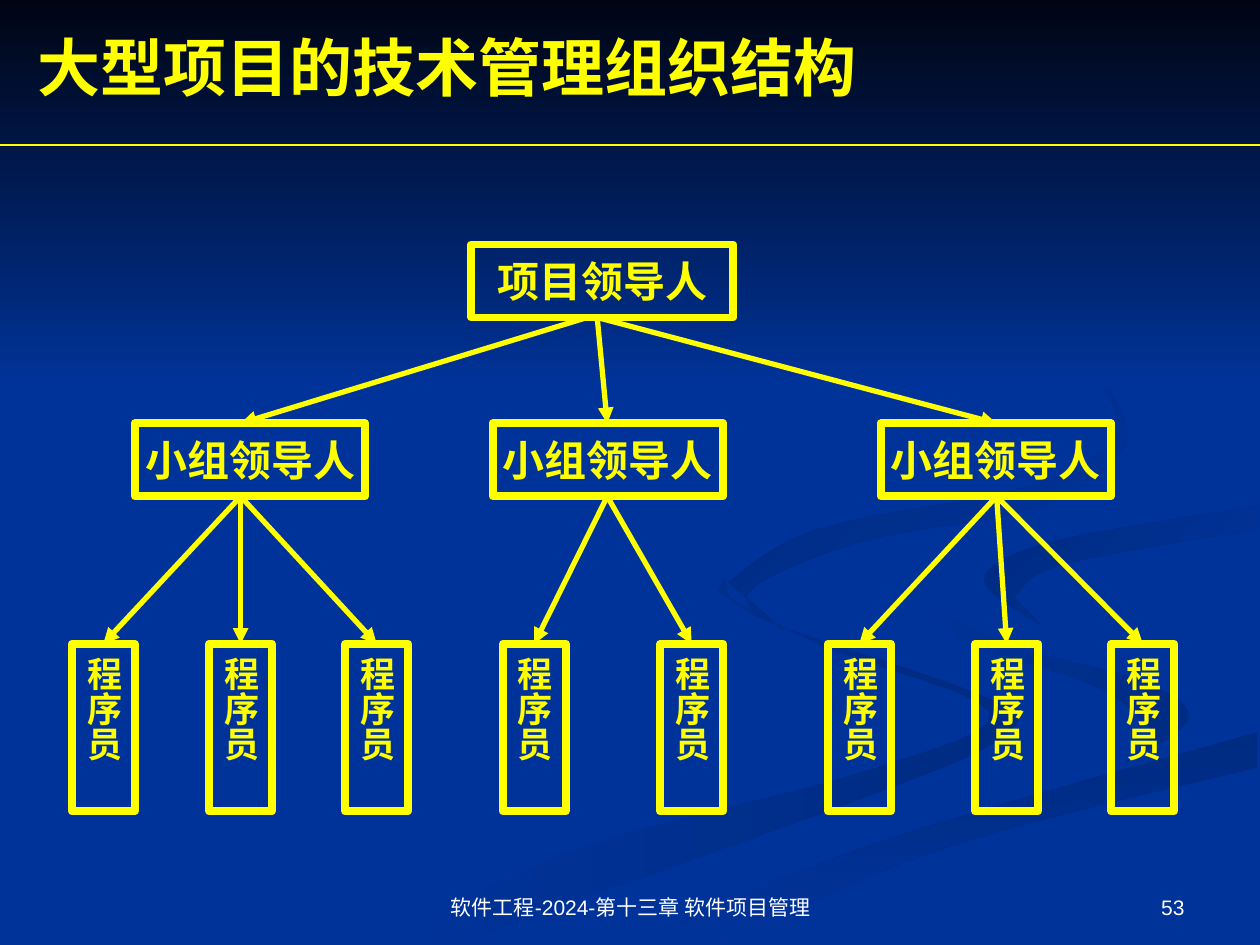
from dataclasses import dataclass
from typing import Optional

import lxml.etree
import pptx
import pptx.dml.color
import pptx.enum.shapes
import pptx.enum.text
import pptx.oxml.ns
import pptx.util

Inches = pptx.util.Inches
Align = pptx.enum.text.PP_ALIGN
Anchor = pptx.enum.text.MSO_ANCHOR
Point = tuple[float, float]


@dataclass(frozen=True)
class Theme:
    background: str = "003399"
    night: str = "000514"
    ribbon: str = "002B82"
    accent: str = "FFFF00"
    footer: str = "FFFFFF"
    heading_font: str = "Times New Roman"
    footer_font: str = "Arial"
    title_size: int = 36
    leader_size: int = 24
    programmer_size: int = 20
    footer_size: int = 12
    box_line: float = 4.5
    arrow_line: float = 3
    rule_line: float = 0.75


@dataclass(frozen=True)
class Ribbon:
    outer: tuple[Point, ...]
    inner: tuple[Point, ...]
    start: str
    end: str
    angle: int = 0


@dataclass(frozen=True)
class Box:
    left: float
    top: float
    width: float
    height: float


@dataclass(frozen=True)
class Team:
    left: float
    anchor: float
    manager_anchor: float
    programmers: tuple[float, ...]


THEME = Theme()
BLUE = THEME.background
SLIDE_WIDTH, SLIDE_HEIGHT, BAND_HEIGHT = 10, 7.5, 3.08
CURVE_STEPS = 6
LEADER_TOP, PROGRAMMER_TOP = 3.36, 5.11
LEADER_HEIGHT = 0.58
PROGRAMMER_WIDTH = 0.5
MANAGER = Box(3.74, 1.94, 2.08, LEADER_HEIGHT)
TEAMS = (
    Team(1.07, 1.91, 4.66, (0.57, 1.66, 2.74)),
    Team(3.91, 4.82, 4.74, (3.99, 5.24)),
    Team(6.99, 7.91, 4.74, (6.57, 7.74, 8.82)),
)

RIBBONS = (
    Ribbon(((5.75, 4.59), (6.02, 4.9), (7.81, 5.53), (8, 5.81), (6.99, 6.28), (3.61, 7.49)),
           ((3, 7.49), (4.58, 6.74), (6.84, 6.13), (7.86, 5.66), (6.54, 5.13), (5.7, 4.7)),
           BLUE, THEME.ribbon),
    Ribbon(((7.24, 4.64), (7.92, 5.09), (9.05, 5.4), (9.43, 5.7), (8.94, 6.05)),
           ((9.18, 5.81), (8.68, 5.44), (7.66, 5.12)), BLUE, THEME.ribbon, 45),
    Ribbon(((5.03, 7.49), (6.96, 6.69), (9.98, 5.81)),
           ((9.98, 6.09), (7.52, 6.72), (5.71, 7.49)), THEME.ribbon, BLUE, 90),
    Ribbon(((9.98, 4.02), (8.35, 4.3), (7.81, 4.6), (8.26, 4.96)),
           ((8.05, 4.74), (8.43, 4.48), (9.98, 4.2)), THEME.ribbon, BLUE, 45),
    Ribbon(((8.8, 3.07), (8.92, 3.54), (8.25, 4.02), (6.83, 4.3), (5.94, 4.7), (6.22, 5)),
           ((5.78, 4.62), (6.49, 4.2), (8.18, 3.86), (8.86, 3.48), (8.76, 3.07)),
           THEME.ribbon, BLUE, 45),
    Ribbon(((0, 0), (SLIDE_WIDTH, 0)), ((SLIDE_WIDTH, BAND_HEIGHT), (0, BAND_HEIGHT)),
           THEME.night, BLUE, 90),
)


def color(value: str) -> pptx.dml.color.RGBColor:
    return pptx.dml.color.RGBColor.from_string(value)


def smooth(points: tuple[Point, ...]) -> list[Point]:
    padded = (points[0], *points, points[-1])
    curve = []
    for a, b, c, d in zip(padded, padded[1:], padded[2:], padded[3:]):
        for step in range(CURVE_STEPS):
            t = step / CURVE_STEPS
            curve.append(tuple(
                q + t * (r - p + t * (2 * p - 5 * q + 4 * r - s + t * (3 * (q - r) + s - p))) / 2
                for p, q, r, s in zip(a, b, c, d)))
    return curve + [points[-1]]


def draw_ribbon(slide, ribbon: Ribbon) -> None:
    outline = smooth(ribbon.outer) + smooth(ribbon.inner)
    points = [(Inches(x), Inches(y)) for x, y in outline]
    builder = slide.shapes.build_freeform(*points[0])
    builder.add_line_segments(points[1:], close=True)
    shape = builder.convert_to_shape()
    shape.shadow.inherit = False
    shape.line.fill.background()
    shape.fill.gradient()
    shape.fill.gradient_angle = (360 - ribbon.angle) % 360
    for stop, value in zip(shape.fill.gradient_stops, (ribbon.start, ribbon.end)):
        stop.color.rgb = color(value)


def write_text(shape, text: str, size: int, align: Align, anchor: Anchor, wrap: bool = True,
               value: str = THEME.accent, font: str = THEME.heading_font, bold: bool = True) -> None:
    frame = shape.text_frame
    frame.text = text
    frame.word_wrap = wrap
    frame.vertical_anchor = anchor
    paragraph = frame.paragraphs[0]
    paragraph.alignment = align
    run_font = paragraph.runs[0].font
    run_font.name = font
    run_font.size = pptx.util.Pt(size)
    run_font.bold = bold
    run_font.color.rgb = color(value)


def add_label(slide, box: Box, text: str, size: int, align: Align, anchor: Anchor, **style) -> None:
    label = slide.shapes.add_textbox(*map(Inches, (box.left, box.top, box.width, box.height)))
    write_text(label, text, size, align, anchor, **style)


def add_role(slide, box: Box, text: str, size: int, vertical: bool = False) -> None:
    shape = slide.shapes.add_shape(
        pptx.enum.shapes.MSO_SHAPE.RECTANGLE,
        *map(Inches, (box.left, box.top, box.width, box.height)))
    shape.shadow.inherit = False
    shape.fill.background()
    shape.line.color.rgb = color(THEME.accent)
    shape.line.width = pptx.util.Pt(THEME.box_line)
    write_text(shape, text, size, Align.CENTER, Anchor.MIDDLE, wrap=False)
    if vertical:
        frame = shape.text_frame
        frame.margin_left = frame.margin_right = Inches(0.05)
        frame.margin_top = frame.margin_bottom = Inches(0.1)
        shape.element.txBody.find(pptx.oxml.ns.qn("a:bodyPr")).set("vert", "eaVert")


def add_line(slide, start: Point, end: Point, width: float, head: Optional[str] = None) -> None:
    connector = slide.shapes.add_connector(
        pptx.enum.shapes.MSO_CONNECTOR.STRAIGHT, *map(Inches, start + end))
    connector.line.color.rgb = color(THEME.accent)
    connector.line.width = pptx.util.Pt(width)
    properties = connector.element.spPr
    if head:
        outline = properties.find(pptx.oxml.ns.qn("a:ln"))
        lxml.etree.SubElement(outline, pptx.oxml.ns.qn("a:tailEnd")).set("type", head)
    lxml.etree.SubElement(properties, pptx.oxml.ns.qn("a:effectLst"))


def draw_organization(slide) -> None:
    add_role(slide, MANAGER, "项目领导人", THEME.leader_size)
    for team in TEAMS:
        add_role(slide, Box(team.left, LEADER_TOP, 1.83, LEADER_HEIGHT), "小组领导人", THEME.leader_size)
        add_line(slide, (team.manager_anchor, MANAGER.top + MANAGER.height),
                 (team.anchor, LEADER_TOP), THEME.arrow_line, "triangle")
        for left in team.programmers:
            add_role(slide, Box(left, PROGRAMMER_TOP, PROGRAMMER_WIDTH, 1.33), "程序员",
                     THEME.programmer_size, vertical=True)
            add_line(slide, (team.anchor, LEADER_TOP + LEADER_HEIGHT),
                     (left + PROGRAMMER_WIDTH / 2, PROGRAMMER_TOP), THEME.arrow_line, "triangle")


def main() -> None:
    presentation = pptx.Presentation()
    presentation.slide_width = Inches(SLIDE_WIDTH)
    presentation.slide_height = Inches(SLIDE_HEIGHT)
    slide = presentation.slides.add_slide(presentation.slide_layouts[6])
    slide.background.fill.solid()
    slide.background.fill.fore_color.rgb = color(BLUE)
    for ribbon in RIBBONS:
        draw_ribbon(slide, ribbon)
    draw_organization(slide)
    add_label(slide, Box(0.2, 0.14, 9.8, 0.77), "大型项目的技术管理组织结构",
              THEME.title_size, Align.LEFT, Anchor.MIDDLE)
    add_line(slide, (0, 1.15), (SLIDE_WIDTH, 1.15), THEME.rule_line)
    footer = {"value": THEME.footer, "font": THEME.footer_font, "bold": False}
    add_label(slide, Box(3.42, 6.83, 3.17, 0.52), "软件工程-2024-第十三章 软件项目管理",
              THEME.footer_size, Align.CENTER, Anchor.BOTTOM, **footer)
    add_label(slide, Box(7.17, 6.83, 2.33, 0.52), "53",
              THEME.footer_size, Align.RIGHT, Anchor.BOTTOM, **footer)
    presentation.save("out.pptx")


if __name__ == "__main__":
    main()
